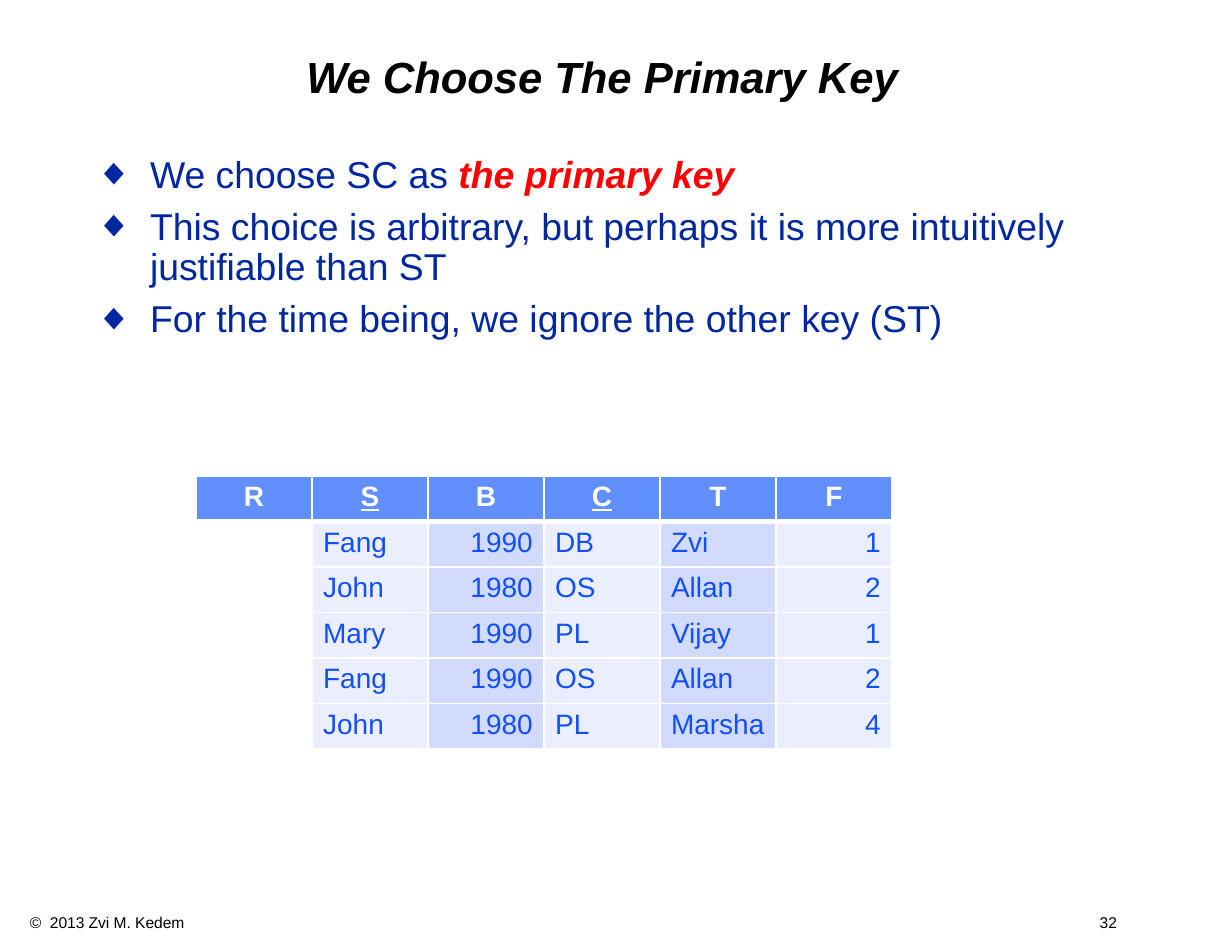
from lxml.etree import SubElement
from pptx import Presentation
from pptx.dml.color import RGBColor
from pptx.enum.text import MSO_ANCHOR, PP_ALIGN
from pptx.oxml.ns import qn
from pptx.util import Pt

EMU_PER_PX = 914400 / 112
COLORS = {
    "black": "000000", "white": "FFFFFF", "navy": "00279F", "red": "FF0000",
    "header": "618FFD", "cell": "114FFB", "light": "EAEEFF", "band": "D2DBFE",
}


def px(length):
    return round(length * EMU_PER_PX)


def color(name):
    return RGBColor.from_string(COLORS[name])


class SlideWriter:
    font_name = "Arial"

    def __init__(self, slide):
        self.slide = slide

    def format_span(self, span, size, color_name, bold=False, italic=False, underline=False):
        font = span.font
        font.name, font.size = self.font_name, Pt(size)
        font.bold, font.italic, font.underline = bold, italic, underline
        font.color.rgb = color(color_name)

    def add_box(self, left, top, width, height, inset_x=12, inset_y=7):
        box = self.slide.shapes.add_textbox(px(left), px(top), px(width), px(height))
        frame = box.text_frame
        frame.word_wrap = True
        frame.margin_left = frame.margin_right = px(inset_x)
        frame.margin_top = frame.margin_bottom = px(inset_y)
        return frame

    def add_title(self, text, *place):
        frame = self.add_box(*place)
        frame.vertical_anchor = MSO_ANCHOR.MIDDLE
        frame.text = text
        para = frame.paragraphs[0]
        para.alignment, para.line_spacing = PP_ALIGN.CENTER, 0.9
        self.format_span(para.runs[0], 28, "black", bold=True, italic=True)

    def add_bullets(self, items, *place, indent=54):
        """Each item is a list of (text, emphasized) spans."""
        frame = self.add_box(*place)
        for number, item in enumerate(items):
            para = frame.add_paragraph() if number else frame.paragraphs[0]
            properties = para._p.get_or_add_pPr()
            properties.set("marL", str(px(indent)))
            properties.set("indent", str(-px(indent)))
            bullet_color = SubElement(properties, qn("a:buClr"))
            SubElement(bullet_color, qn("a:srgbClr"), val=COLORS["navy"])
            SubElement(properties, qn("a:buFont"), typeface=self.font_name)
            SubElement(properties, qn("a:buChar"), char="◆")
            para.line_spacing = 0.9
            if number:
                para.space_before = Pt(7.5)
            for text, emphasized in item:
                span = para.add_run()
                span.text = text
                self.format_span(span, 24, "red" if emphasized else "navy",
                                 bold=emphasized, italic=emphasized)

    def add_footer(self, left_text, right_text, *place, tab):
        frame = self.add_box(*place, inset_x=11, inset_y=6)
        para = frame.paragraphs[0]
        para.text = f"{left_text}\t{right_text}"
        tabs = SubElement(para._p.get_or_add_pPr(), qn("a:tabLst"))
        SubElement(tabs, qn("a:tab"), pos=str(px(tab)), algn="r")
        for span in para.runs:
            self.format_span(span, 10, "black")

    def add_borders(self, cell, top, bottom):
        properties = cell._tc.get_or_add_tcPr()
        for side, width in (("L", 1), ("R", 1), ("T", top), ("B", bottom)):
            line = SubElement(properties, qn(f"a:ln{side}"), w=str(Pt(width)))
            fill = SubElement(line, qn("a:solidFill"))
            SubElement(fill, qn("a:srgbClr"), val=COLORS["white"])

    def add_relation(self, header, rows, keys, *place):
        """Draw a relation: name in the first column, key columns underlined."""
        records = [header] + [("", *row) for row in rows]
        shape = self.slide.shapes.add_table(len(records), len(header), *map(px, place))
        table = shape.table
        table.horz_banding = False
        for row, record in enumerate(records):
            for column, text in enumerate(record):
                cell = table.cell(row, column)
                self.add_borders(cell, top=3 if row == 1 else 1, bottom=1 if row else 3)
                if row == 0:
                    fill = "header"
                elif column == 0:
                    fill = "white"
                else:
                    fill = "light" if column % 2 else "band"
                cell.fill.solid()
                cell.fill.fore_color.rgb = color(fill)
                cell.text_frame.text = text
                para = cell.text_frame.paragraphs[0]
                if row == 0:
                    para.alignment = PP_ALIGN.CENTER
                elif text.isdigit():
                    para.alignment = PP_ALIGN.RIGHT
                for span in para.runs:
                    self.format_span(span, 18, "cell" if row else "white", bold=row == 0,
                                     underline=row == 0 and text in keys)


def main():
    deck = Presentation()
    deck.slide_width, deck.slide_height = px(1232), px(952)
    writer = SlideWriter(deck.slides.add_slide(deck.slide_layouts[6]))

    # Footer
    writer.add_footer("©  2013 Zvi M. Kedem", "32", 19, 907, 1158, 30, tab=1087)

    # Title and bullets
    writer.add_title("We Choose The Primary Key", 84, 28, 1036, 103)
    writer.add_bullets([
        [("We choose SC as ", False), ("the primary key", True)],
        [("This choice is arbitrary, but perhaps it is more intuitively "
          "justifiable than ST", False)],
        [("For the time being, we ignore the other key (ST)", False)],
    ], 84, 149, 1045, 747)

    # Relation R with primary key SC
    writer.add_relation(("R", "S", "B", "C", "T", "F"), [
        ("Fang", "1990", "DB", "Zvi", "1"),
        ("John", "1980", "OS", "Allan", "2"),
        ("Mary", "1990", "PL", "Vijay", "1"),
        ("Fang", "1990", "OS", "Allan", "2"),
        ("John", "1980", "PL", "Marsha", "4"),
    ], ("S", "C"), 196, 476, 696, 273)

    deck.save("out.pptx")


if __name__ == "__main__":
    main()
